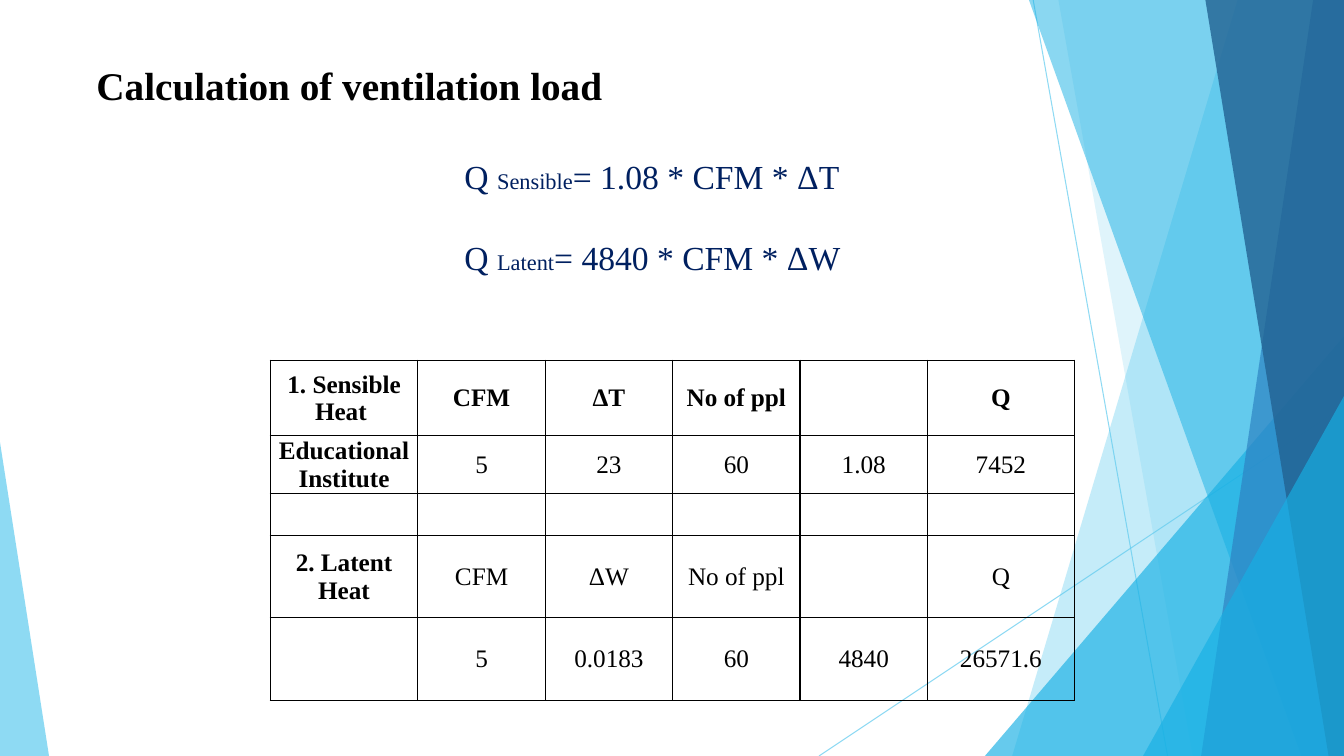
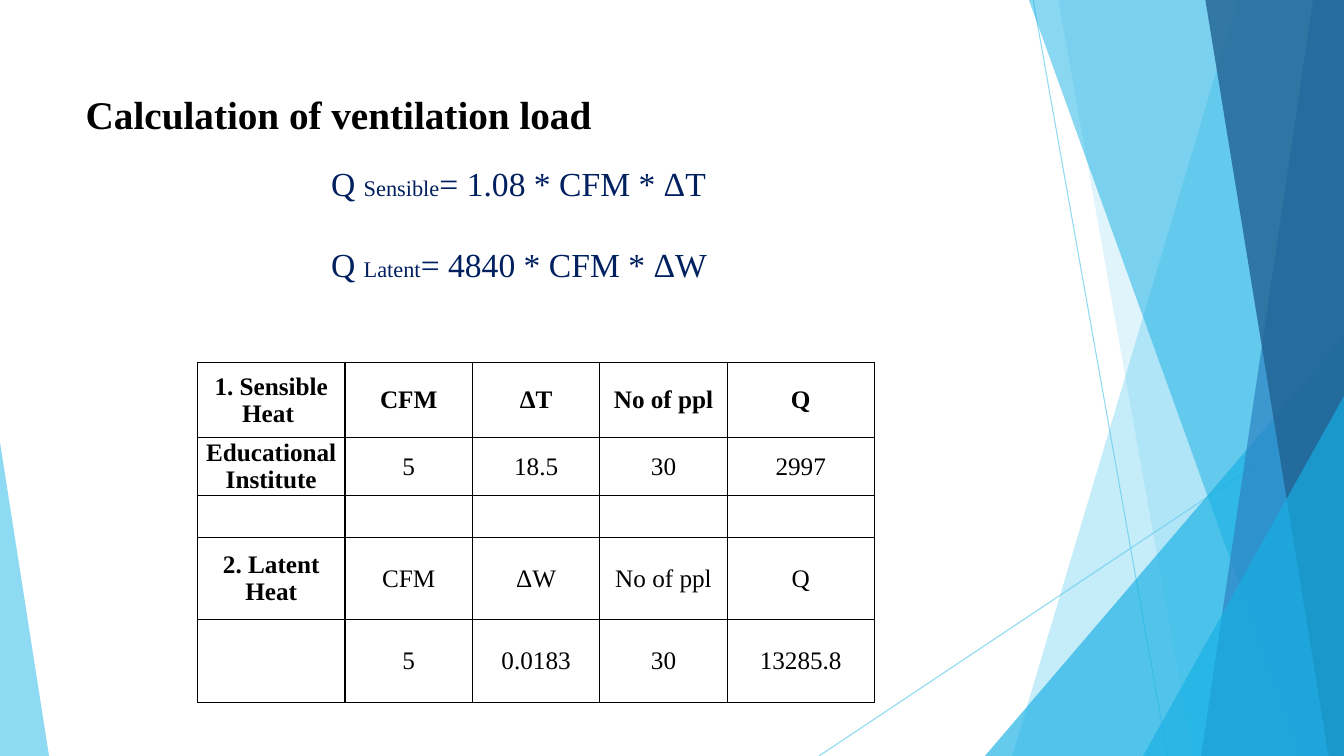
from lxml import etree
from pptx import Presentation
from pptx.dml.color import RGBColor
from pptx.enum.shapes import MSO_CONNECTOR, MSO_SHAPE
from pptx.enum.text import MSO_ANCHOR, PP_ALIGN
from pptx.oxml.ns import qn
from pptx.util import Pt

STRAIGHT = MSO_CONNECTOR.STRAIGHT
TRIANGLE = MSO_SHAPE.ISOSCELES_TRIANGLE
MIDDLE = MSO_ANCHOR.MIDDLE
CENTER = PP_ALIGN.CENTER
LEFT = PP_ALIGN.LEFT

WIDTH, HEIGHT = 960, 540
FONT = "Times New Roman"
COLORS = {
    "black": "000000",
    "navy": "002060",
    "sky": "5FCBEF",
    "cyan": "17B0E4",
    "blue": "2E83C3",
    "deep": "226292",
}
STYLES = {
    "title": {"size": 28, "color": "black", "bold": True},
    "formula": {"size": 24, "color": "navy", "bold": False},
    "subscript": {"size": 16, "color": "navy", "bold": False},
    "label": {"size": 18, "color": "black", "bold": True},
    "value": {"size": 18, "color": "black", "bold": False},
}
LINE_HEIGHTS = {"title": 33.8, "formula": 29, "cell": 19.6}

RAYS = [(738, 0, 834, 540), (960, 290, 585, 540)]
FACETS = [
    ("band", (884, 723), "sky", 36),
    ("band", (756, 852), "sky", 20),
    ("triangle", (703.5, 240, 256.5, 300, 1), "cyan", 66),
    ("band", (735, 929.5), "cyan", 50),
    ("band", (938, 858), "blue", 70),
    ("band", (861, 949), "deep", 80),
    ("triangle", (816.5, 283, 143.5, 257, 1), "cyan", 66),
    ("triangle", (0, 316, 35, 224, 0), "sky", 70),
]

TITLE = "Calculation of ventilation load"
FORMULAS = [
    ("Q ", "Sensible", "= 1.08 * CFM * ΔT"),
    ("Q ", "Latent", "= 4840 * CFM * ΔW"),
]
EDGE_COLUMNS, INNER_COLUMN = (105.5, 105), 91
ROW_HEIGHTS = [54, 41, 30, 59, 59]
PAGES = [
    {
        "title": (12, 40.3, 475, 41),
        "formulas": (324.7, 107.3, 288, 124),
        "table": (193, 257.3),
        "rows": [
            ["1. Sensible Heat ", "CFM", "ΔT", "No of ppl", "", "Q"],
            ["Educational Institute", "5", "23", "60", "1.08", "7452"],
            [""] * 6,
            ["2. Latent Heat", "CFM", "ΔW", "No of ppl", "", "Q"],
            ["", "5", "0.0183", "60", "4840", "26571.6"],
        ],
    },
    {
        "title": (4.3, 60.5, 475, 41),
        "formulas": (229.4, 112.3, 288, 124),
        "table": (141, 258.7),
        "rows": [
            ["1. Sensible Heat ", "CFM", "ΔT", "No of ppl", "Q"],
            ["Educational Institute", "5", "18.5", "30", "2997"],
            [""] * 5,
            ["2. Latent Heat", "CFM", "ΔW", "No of ppl", "Q"],
            ["", "5", "0.0183", "30", "13285.8"],
        ],
    },
]


def points(values):
    """Turn plain numbers into point lengths."""
    return [Pt(value) for value in values]


def rgb(name):
    """Look up a named colour."""
    return RGBColor.from_string(COLORS[name])


def set_alpha(element, percent):
    """Make the colour inside an element partly transparent."""
    color = next(element.iter(qn("a:srgbClr")))
    etree.SubElement(color, qn("a:alpha"), val=str(percent * 1000))


def write(para, pieces, align, line_height):
    """Fill a paragraph with (text, style) pieces at a fixed line height."""
    layout = {"alignment": align, "line_spacing": Pt(line_height)}
    for name, value in layout.items():
        setattr(para, name, value)
    for text, style in pieces:
        look = STYLES[style]
        span = para.add_run()
        span.text = text
        span.font.color.rgb = rgb(look["color"])
        for name, value in {"name": FONT, "size": Pt(look["size"]), "bold": look["bold"]}.items():
            setattr(span.font, name, value)


def add_text_box(page, box):
    """Add a wrapping text box and return its frame."""
    frame = page.shapes.add_textbox(*points(box)).text_frame
    frame.word_wrap = True
    return frame


def add_ray(page, ends):
    """Draw one thin translucent line of the backdrop."""
    ray = page.shapes.add_connector(STRAIGHT, *points(ends))
    ray.line.width = Pt(0.75)
    ray.line.color.rgb = rgb("sky")
    properties = ray._element.spPr
    set_alpha(properties, 70)
    etree.SubElement(properties, qn("a:effectLst"))


def add_band(page, top_left, bottom_left):
    """Draw a slanted band that reaches the right edge of the page."""
    outline = page.shapes.build_freeform(Pt(top_left), 0)
    corners = [(WIDTH, 0), (WIDTH, HEIGHT), (bottom_left, HEIGHT)]
    outline.add_line_segments([points(corner) for corner in corners])
    return outline.convert_to_shape()


def add_triangle(page, left, top, width, height, apex):
    """Draw a triangle with its apex at a share of its width."""
    triangle = page.shapes.add_shape(TRIANGLE, *points((left, top, width, height)))
    triangle.adjustments[0] = apex
    return triangle


def add_backdrop(page):
    """Draw the rays and translucent facets shared by all pages."""
    makers = {"band": add_band, "triangle": add_triangle}
    for ends in RAYS:
        add_ray(page, ends)
    for kind, geometry, color, opacity in FACETS:
        facet = makers[kind](page, *geometry)
        facet.shadow.inherit = False
        facet.line.fill.background()
        facet.fill.solid()
        facet.fill.fore_color.rgb = rgb(color)
        set_alpha(facet._element.spPr, opacity)


def add_title(page, box):
    """Place the centred page title."""
    para = add_text_box(page, box).paragraphs[0]
    write(para, [(TITLE, "title")], CENTER, LINE_HEIGHTS["title"])


def add_formulas(page, box):
    """Place the heat formulas with one line of space between them."""
    frame = add_text_box(page, box)
    for index, (symbol, kind, rest) in enumerate(FORMULAS):
        para = frame.add_paragraph() if index else frame.paragraphs[0]
        pieces = [(symbol, "formula"), (kind, "subscript"), (rest, "formula")]
        write(para, pieces, LEFT, LINE_HEIGHTS["formula"])
        if index:
            para.space_before = Pt(LINE_HEIGHTS["formula"])


def format_cell(cell):
    """Give a cell black borders, no fill and tight margins."""
    properties = cell._tc.get_or_add_tcPr()
    for side in ("lnL", "lnR", "lnT", "lnB"):
        border = etree.SubElement(properties, qn(f"a:{side}"), w=str(Pt(1)))
        fill = etree.SubElement(border, qn("a:solidFill"))
        etree.SubElement(fill, qn("a:srgbClr"), val=COLORS["black"])
    cell.fill.background()
    layout = {
        "vertical_anchor": MIDDLE,
        "margin_left": Pt(0.7),
        "margin_right": Pt(0.7),
        "margin_top": Pt(0.7),
        "margin_bottom": 0,
    }
    for name, value in layout.items():
        setattr(cell, name, value)


def add_load_table(page, corner, rows):
    """Place the table of sensible and latent loads."""
    first, last = EDGE_COLUMNS
    widths = [first] + [INNER_COLUMN] * (len(rows[0]) - 2) + [last]
    box = (*corner, sum(widths), sum(ROW_HEIGHTS))
    table = page.shapes.add_table(len(rows), len(widths), *points(box)).table
    table.first_row = table.horz_banding = False
    for column, width in zip(table.columns, widths):
        column.width = Pt(width)
    for row_index, texts in enumerate(rows):
        table.rows[row_index].height = Pt(ROW_HEIGHTS[row_index])
        for column_index, text in enumerate(texts):
            cell = table.cell(row_index, column_index)
            format_cell(cell)
            style = "value" if row_index and column_index else "label"
            pieces = [(text, style)] if text else []
            write(cell.text_frame.paragraphs[0], pieces, CENTER, LINE_HEIGHTS["cell"])


def add_load_page(deck, content):
    """Build one ventilation load page."""
    page = deck.slides.add_slide(deck.slide_layouts[6])
    add_backdrop(page)
    add_load_table(page, content["table"], content["rows"])
    add_title(page, content["title"])
    add_formulas(page, content["formulas"])


def main():
    """Build and save the deck."""
    deck = Presentation()
    deck.slide_width, deck.slide_height = points((WIDTH, HEIGHT))
    for content in PAGES:
        add_load_page(deck, content)
    deck.save("out.pptx")


if __name__ == "__main__":
    main()
